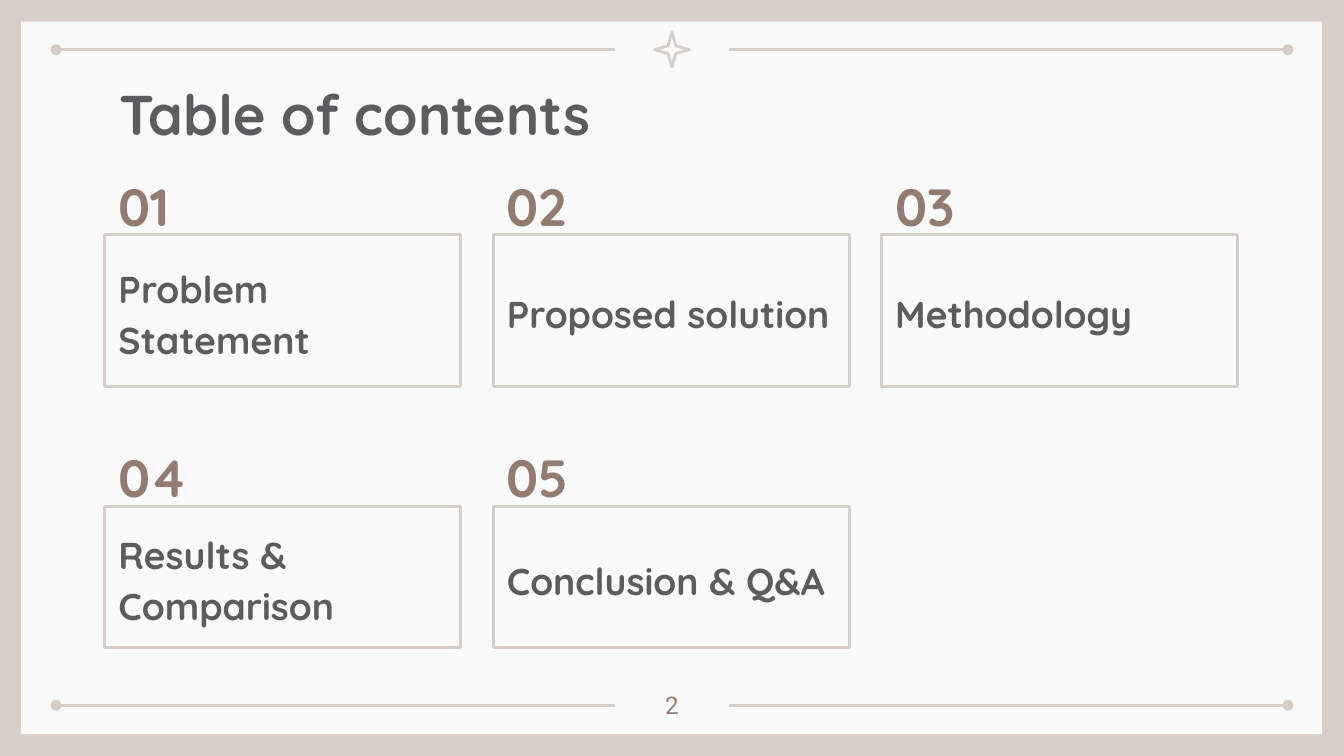
from lxml import etree
from pptx import Presentation
from pptx import util as u
from pptx.dml.color import RGBColor
from pptx.enum import shapes, text
from pptx.oxml.ns import qn

SAND, PAPER, BROWN, GREY = "D8CEC9", "FAFAFA", "927C71", "5C5C5F"


def colour(fill, value):
    fill.solid()
    fill.fore_color.rgb = RGBColor.from_string(value)


def write(shape, words, size, value, font="Quicksand", bold=True, spacing=1.0,
          anchor=text.MSO_ANCHOR.MIDDLE, align=text.PP_ALIGN.LEFT):
    frame = shape.text_frame
    frame.text = words
    frame.word_wrap = True
    frame.auto_size = text.MSO_AUTO_SIZE.NONE
    frame.vertical_anchor = anchor
    frame.margin_left = frame.margin_right = u.Cm(0.26)
    frame.margin_top = frame.margin_bottom = u.Cm(0.26)
    paragraph = frame.paragraphs[0]
    paragraph.alignment = align
    paragraph.line_spacing = spacing
    paragraph.font.name = font
    paragraph.font.size = u.Pt(size)
    paragraph.font.bold = bold
    colour(paragraph.font.fill, value)


presentation = Presentation()
presentation.slide_width = u.Cm(25.4)
presentation.slide_height = u.Cm(14.29)
slide = presentation.slides.add_slide(presentation.slide_layouts[5])
title = slide.shapes.title

# Background and paper panel, placed behind the title
colour(slide.background.fill, SAND)
panel = slide.shapes.add_shape(shapes.MSO_SHAPE.RECTANGLE, u.Cm(0.4), u.Cm(0.41),
                               u.Cm(24.59), u.Cm(13.47))
panel.shadow.inherit = False
colour(panel.fill, PAPER)
panel.line.fill.background()
title.element.addprevious(panel.element)

# Rules with a dot at the outer end
for y in (0.94, 13.33):
    for outer, inner in ((1.06, 11.63), (24.34, 13.77)):
        rule = slide.shapes.add_connector(shapes.MSO_CONNECTOR.STRAIGHT, u.Cm(outer),
                                          u.Cm(y), u.Cm(inner), u.Cm(y))
        colour(rule.line.fill, SAND)
        rule.line.width = u.Pt(1.5)
        etree.SubElement(rule.line._get_or_add_ln(), qn("a:headEnd"), type="oval")
        etree.SubElement(rule.element.spPr, qn("a:effectLst"))

# Star between the top rules
star = slide.shapes.add_shape(shapes.MSO_SHAPE.STAR_4_POINT, u.Cm(12.37), u.Cm(0.61),
                              u.Cm(0.66), u.Cm(0.66))
star.adjustments[0] = 0.157
star.shadow.inherit = False
star.fill.background()
colour(star.line.fill, SAND)
star.line.width = u.Pt(1.5)

# Title
title.left, title.top = u.Cm(2), u.Cm(1.24)
title.width, title.height = u.Cm(21.41), u.Cm(1.6)
write(title, "Table of contents", 30, GREY, anchor=text.MSO_ANCHOR.TOP)

# Numbered sections, three to a row
sections = ["Problem Statement", "Proposed solution", "Methodology",
            "Results & Comparison", "Conclusion & Q&A"]
rows = [(4.43, 2.88), (9.57, 2.67)]
for index, section in enumerate(sections):
    row, column = divmod(index, 3)
    top, height = rows[row]
    left = 1.98 + 7.34 * column

    number = slide.shapes.add_textbox(u.Cm(left), u.Cm(top - 1.25), u.Cm(1.83), u.Cm(1.22))
    write(number, f"{index + 1:02}", 28, BROWN, spacing=1.15)

    box = slide.shapes.add_shape(shapes.MSO_SHAPE.RECTANGLE, u.Cm(left), u.Cm(top),
                                 u.Cm(6.73), u.Cm(height))
    box.shadow.inherit = False
    box.fill.background()
    colour(box.line.fill, SAND)
    box.line.width = u.Pt(1.5)
    write(box, section, 20, GREY, spacing=1.15)

# Page number
page = slide.shapes.add_textbox(u.Cm(11.94), u.Cm(12.79), u.Cm(1.52), u.Cm(0.91))
write(page, "2", 13, BROWN, font="Roboto", bold=False,
      anchor=text.MSO_ANCHOR.TOP, align=text.PP_ALIGN.CENTER)

presentation.save("out.pptx")
